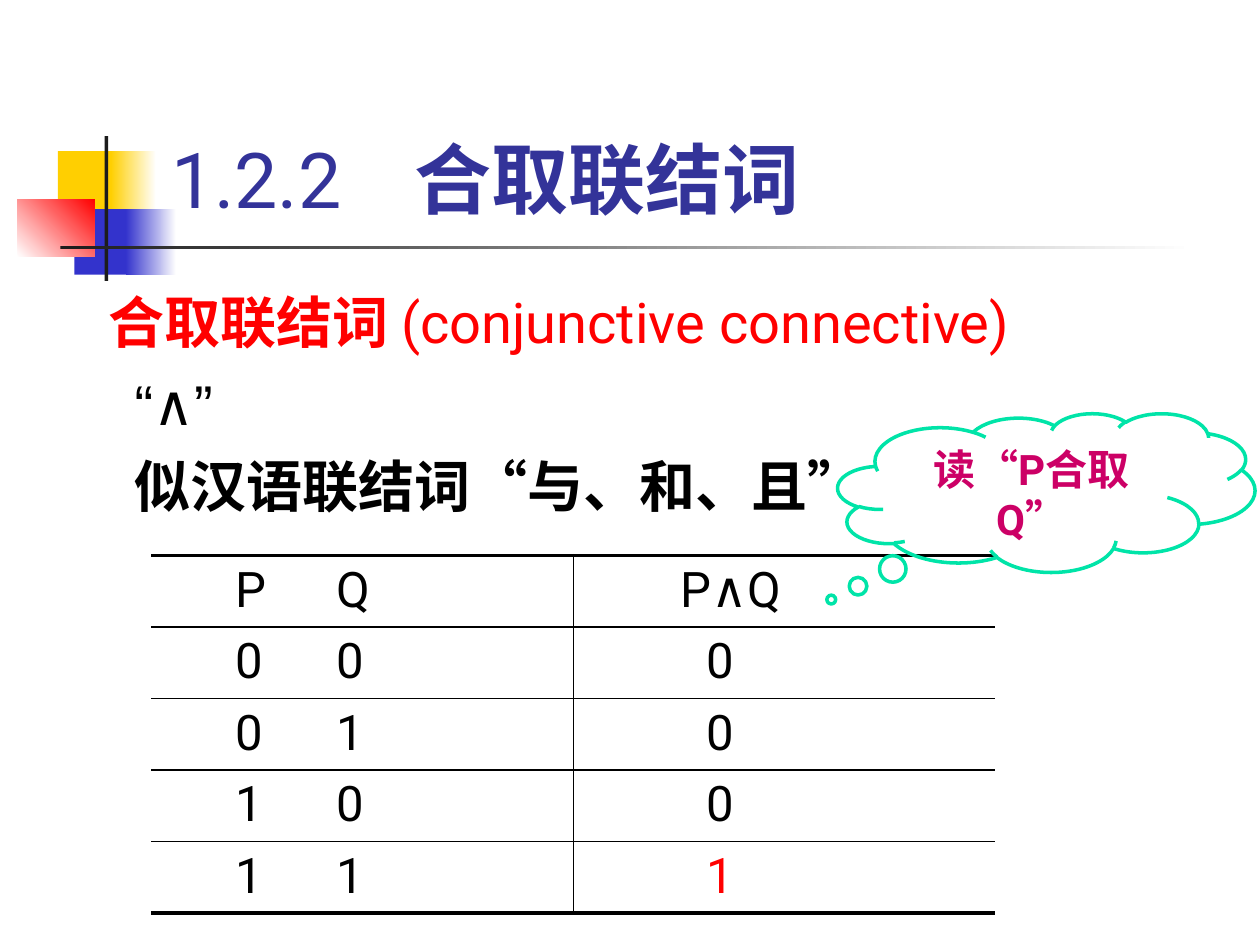
from lxml.etree import SubElement
from pptx import Presentation
from pptx.dml.color import RGBColor
from pptx.enum.shapes import MSO_SHAPE as Shape
from pptx.enum.text import MSO_ANCHOR as Anchor, PP_ALIGN as Align
from pptx.oxml.ns import qn
from pptx.util import Inches, Pt

BLACK = RGBColor(0x00, 0x00, 0x00)
WHITE = RGBColor(0xFF, 0xFF, 0xFF)
CHARCOAL = RGBColor(0x1C, 0x1C, 0x1C)
YELLOW = RGBColor(0xFF, 0xCF, 0x01)
BLUE = RGBColor(0x33, 0x33, 0xCC)
NAVY = RGBColor(0x33, 0x33, 0x99)
RED = RGBColor(0xFF, 0x00, 0x00)
MINT = RGBColor(0x00, 0xE4, 0xA8)
MAGENTA = RGBColor(0xCC, 0x00, 0x66)

MAIN, QUOTE = "Roboto", "Arial"
COLUMNS, ROWS = 100, 75


class Deck:
    """Holds the style and the current slide; lengths are grid columns and rows."""

    def __init__(self):
        self.show = Presentation()
        self.show.slide_width, self.show.slide_height = Inches(10), Inches(7.5)
        self.slide = self.show.slides.add_slide(self.show.slide_layouts[6])

    def across(self, columns):
        return round(self.show.slide_width * columns / COLUMNS)

    def down(self, rows):
        return round(self.show.slide_height * rows / ROWS)

    def place(self, left, top, width, height):
        return self.across(left), self.down(top), self.across(width), self.down(height)

    def block(self, at, color, fade_to=None, angle=0):
        bar = self.slide.shapes.add_shape(Shape.RECTANGLE, *self.place(*at))
        bar.shadow.inherit = False
        bar.line.fill.background()
        if fade_to is None:
            bar.fill.solid()
            bar.fill.fore_color.rgb = color
        else:
            bar.fill.gradient()
            bar.fill.gradient_angle = angle
            for stop, shade in zip(bar.fill.gradient_stops, (color, fade_to)):
                stop.color.rgb = shade

    def add_runs(self, paragraph, pieces, size, color, indent=0, tab=None):
        """Fill a paragraph with (text, font, bold) pieces."""
        properties = paragraph._p.get_or_add_pPr()
        if indent:
            properties.set("marL", str(self.across(indent)))
        if tab:
            stops = SubElement(properties, qn("a:tabLst"))
            SubElement(stops, qn("a:tab"), pos=str(self.across(tab)), algn="l")
        for text, face, bold in pieces:
            run = paragraph.add_run()
            run.text = text
            run.font.name, run.font.bold = face, bold
            run.font.size, run.font.color.rgb = Pt(size), color

    def text(self, at, anchor=Anchor.TOP):
        frame = self.slide.shapes.add_textbox(*self.place(*at)).text_frame
        frame.word_wrap = True
        frame.vertical_anchor = anchor
        return frame

    def cloud(self, at, tail, pieces):
        bubble = self.slide.shapes.add_shape(Shape.CLOUD_CALLOUT, *self.place(*at))
        bubble.shadow.inherit = False
        bubble.fill.background()
        bubble.line.color.rgb, bubble.line.width = MINT, Pt(2)
        bubble.adjustments[0], bubble.adjustments[1] = tail
        frame = bubble.text_frame
        frame.word_wrap = True
        frame.vertical_anchor = Anchor.TOP
        frame.paragraphs[0].alignment = Align.CENTER
        self.add_runs(frame.paragraphs[0], pieces, 24, MAGENTA)

    def border(self, cell, **widths):
        """Set cell borders in points; a side left out has no line."""
        properties = cell._tc.get_or_add_tcPr()
        for place, side in enumerate(("lnL", "lnR", "lnT", "lnB")):
            width = widths.get(side, 0)
            line = properties.makeelement(qn(f"a:{side}"), {"w": str(Pt(width))})
            properties.insert(place, line)
            if width:
                paint = SubElement(line, qn("a:solidFill"))
                SubElement(paint, qn("a:srgbClr"), val=str(BLACK))
            else:
                SubElement(line, qn("a:noFill"))

    def truth_table(self, at, rows):
        table = self.slide.shapes.add_table(len(rows), 2, *self.place(*at)).table
        table.first_row = table.horz_banding = False
        last = len(rows) - 1
        for r, (inputs, result) in enumerate(rows):
            top = 2.25 if r == 0 else 1
            bottom = 2.25 if r == last else 1
            left_cell, right_cell = table.cell(r, 0), table.cell(r, 1)
            for cell in (left_cell, right_cell):
                cell.fill.background()
            self.border(left_cell, lnT=top, lnB=bottom, lnR=1)
            self.border(right_cell, lnT=top, lnB=bottom, lnL=1)
            left_cell.margin_left = self.across(6.7)
            right_cell.margin_left = self.across(8.5 if r == 0 else 10.6)
            self.add_runs(left_cell.text_frame.paragraphs[0],
                          [("\t".join(inputs), MAIN, False)], 28, BLACK, tab=8)
            self.add_runs(right_cell.text_frame.paragraphs[0], [(result, MAIN, False)],
                          28, RED if result == "1" else BLACK)


def main():
    deck = Deck()

    # Corner ornament and rule
    deck.block((4.6, 12, 4.8, 5.2), YELLOW)
    deck.block((8.8, 12, 3.6, 5.2), YELLOW, WHITE)
    deck.block((5.9, 16.6, 4.6, 5.2), BLUE)
    deck.block((10, 16.6, 4, 5.2), BLUE, WHITE)
    deck.block((1.4, 15.8, 6.1, 4.6), WHITE, RED, angle=45)
    deck.block((8.3, 10.8, 0.3, 11.5), CHARCOAL)
    deck.block((4.8, 19.5, 90, 0.3), CHARCOAL, WHITE)

    # Title
    title = deck.text((12.6, 2.3, 85.2, 16), Anchor.BOTTOM)
    deck.add_runs(title.paragraphs[0],
                  [("1.2.2\t", MAIN, False), ("合取联结词", MAIN, True)], 44, NAVY, tab=19.3)

    # Definition, symbol and meaning
    body = deck.text((6.7, 22.1, 91.4, 52.9))
    lines = [
        (RED, 0.9, [("合取联结词", MAIN, True), (" (conjunctive connective)", MAIN, False)]),
        (BLACK, 3, [("“", QUOTE, False), ("∧", MAIN, False), ("”", QUOTE, False)]),
        (BLACK, 3, [("似汉语联结词", MAIN, True), ("“", QUOTE, True), ("与、和、且”", MAIN, True)]),
    ]
    for number, (color, indent, pieces) in enumerate(lines):
        line = body.add_paragraph() if number else body.paragraphs[0]
        line.line_spacing = 1.05
        if number:
            line.space_before = Pt(6.4)
        deck.add_runs(line, pieces, 32, color, indent)

    # Truth table
    outcomes = [((p, q), str(int(p == q == "1"))) for p in "01" for q in "01"]
    deck.truth_table((12, 44.1, 67, 27.8), [(("P", "Q"), "P∧Q")] + outcomes)

    # How to read the symbol
    deck.cloud((66.5, 32.8, 33.1, 12.6), (-0.516, 0.674),
               [("读", MAIN, True), ("“", QUOTE, True), ("P合取Q", MAIN, True), ("”", QUOTE, True)])

    deck.show.save("out.pptx")


if __name__ == "__main__":
    main()
